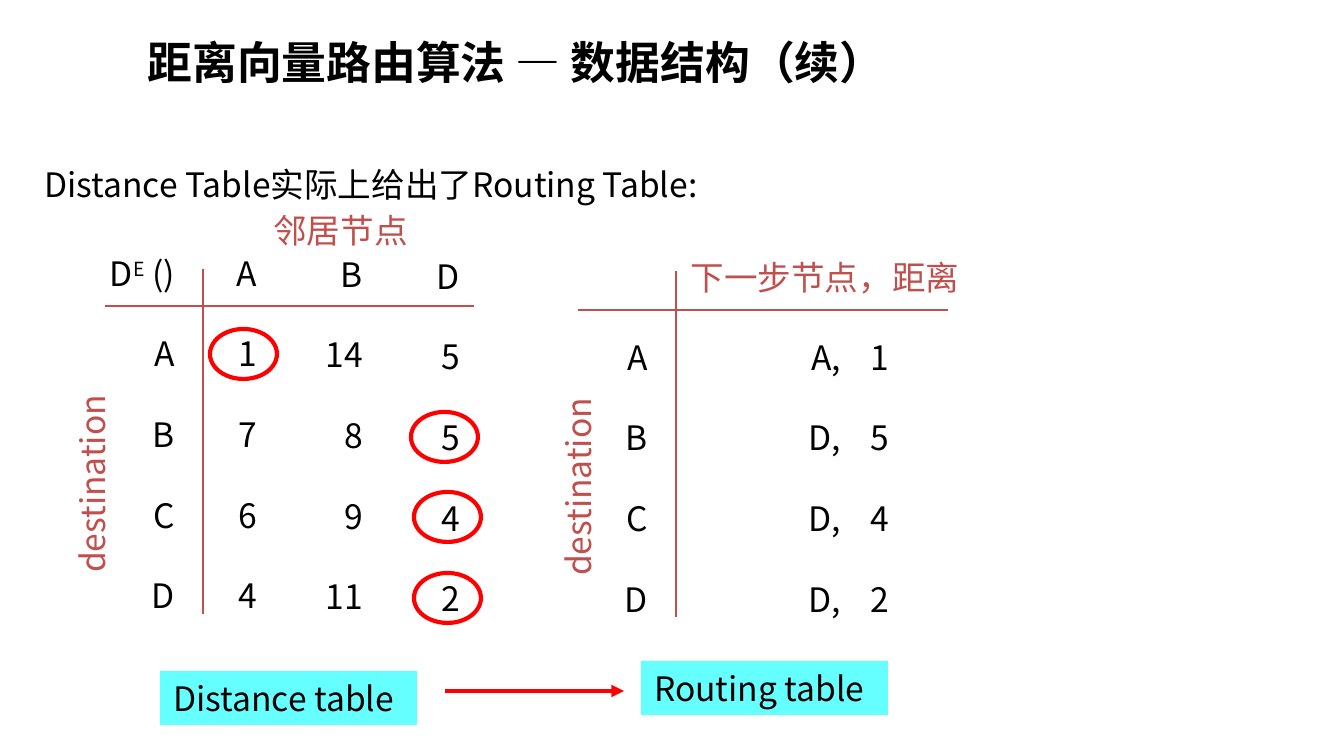
"""Build the slide showing how a distance table yields a routing table."""
from lxml import etree
from pptx import Presentation
from pptx import util as u
from pptx.dml.color import RGBColor
from pptx.enum import shapes, text
from pptx.oxml.ns import qn

FONT = "Noto Sans CJK SC"
BLACK = RGBColor(0x00, 0x00, 0x00)
BRICK = RGBColor(0xC0, 0x50, 0x4D)
RED = RGBColor(0xFF, 0x00, 0x00)
CYAN = RGBColor(0x66, 0xFF, 0xFF)
LEFT, CENTER, RIGHT = text.PP_ALIGN.LEFT, text.PP_ALIGN.CENTER, text.PP_ALIGN.RIGHT
LINE_HEIGHT = u.Pt(21.6)

TITLE = ("距离向量路由算法 — 数据结构（续）", (134, 28, 852, 67))
BODY = ("Distance Table实际上给出了Routing Table:", (31, 157, 977, 74))

# fields: right edge, top, entries
COLUMNS = [
    (188, 246, [("D", "E", " ()"), "A", "B", "C", "D"]),
    (270, 246, ["A", "1", "7", "6", "4"]),
    (376, 247, ["B", "14", "8", "9", "11"]),
    (473, 249, ["D", "5", "5", "4", "2"]),
    (661, 330, ["A", "B", "C", "D"]),
    (854, 330, ["A,", "D,", "D,", "D,"]),
    (902, 330, ["1", "5", "4", "2"]),
]
COLUMN_WIDTH, ROW_PITCH = 120, 81
RULES = [
    ((105, 306), (474, 306)),
    ((203, 269), (203, 614)),
    ((578, 310), (948, 310)),
    ((676, 271), (676, 617)),
]
CIRCLES = [(210, 329), (411, 412), (414, 492), (414, 573)]
CIRCLE_SIZE = (67, 50)
LABELS = [
    ("邻居节点", (259, 203, 163, 54), 0),
    ("下一步节点，距离", (676, 250, 298, 54), 0),
    ("destination", (-13, 457, 210, 54), 270),
    ("destination", (473, 460, 210, 54), 270),
]
CAPTIONS = [
    ("Distance table", (160, 671, 257, 54)),
    ("Routing table", (641, 661, 247, 54)),
]
ARROW = ((445, 691), (624, 691))


def px(*lengths):
    return [u.Emu(round(length * u.Inches(1) / 134.4)) for length in lengths]


def format_paragraph(paragraph, color=BLACK, size=18, bold=False, align=LEFT):
    paragraph.alignment = align
    for run in paragraph.runs:
        run.font.size = u.Pt(size)
        run.font.bold = bold
        run.font.color.rgb = color
        run.font.name = FONT
        properties = run._r.get_or_add_rPr()
        etree.SubElement(properties, qn("a:ea"), typeface=FONT)


def fill_placeholder(placeholder, content, box, anchor, **style):
    placeholder.left, placeholder.top, placeholder.width, placeholder.height = px(*box)
    frame = placeholder.text_frame
    frame.text = content
    frame.vertical_anchor = anchor
    frame.auto_size = text.MSO_AUTO_SIZE.NONE
    paragraph = frame.paragraphs[0]
    properties = paragraph._p.get_or_add_pPr()
    properties.set("marL", "0")
    properties.set("indent", "0")
    etree.SubElement(properties, qn("a:buNone"))
    paragraph.space_before = u.Pt(0)
    format_paragraph(paragraph, **style)


def add_column(slide, right, top, entries):
    box = px(right - COLUMN_WIDTH, top, COLUMN_WIDTH, ROW_PITCH * len(entries))
    frame = slide.shapes.add_textbox(*box).text_frame
    frame.word_wrap = True
    for index, entry in enumerate(entries):
        paragraph = frame.add_paragraph() if index else frame.paragraphs[0]
        paragraph.line_spacing = LINE_HEIGHT
        if index:
            paragraph.space_before = LINE_HEIGHT
        for part in entry:
            paragraph.add_run().text = part
        format_paragraph(paragraph, align=RIGHT)
    return frame


def add_label(shape, content, color, align):
    frame = shape.text_frame
    frame.text = content
    frame.word_wrap = False
    frame.vertical_anchor = text.MSO_ANCHOR.MIDDLE
    format_paragraph(frame.paragraphs[0], color, align=align)


def add_line(slide, start, end, color, width):
    line = slide.shapes.add_connector(shapes.MSO_CONNECTOR.STRAIGHT, *px(*start, *end))
    line.line.color.rgb = color
    line.line.width = u.Pt(width)
    etree.SubElement(line._element.spPr, qn("a:effectLst"))
    return line


def main():
    presentation = Presentation()
    presentation.slide_width, presentation.slide_height = px(1344, 756)
    slide = presentation.slides.add_slide(presentation.slide_layouts[1])
    title, body = slide.placeholders
    fill_placeholder(title, *TITLE, text.MSO_ANCHOR.MIDDLE, size=24, bold=True)
    fill_placeholder(body, *BODY, text.MSO_ANCHOR.TOP)

    frames = [add_column(slide, *column) for column in COLUMNS]
    superscript = frames[0].paragraphs[0].runs[1]
    superscript._r.get_or_add_rPr().set("baseline", "30000")

    for start, end in RULES:
        add_line(slide, start, end, BRICK, 1.5)

    for position in CIRCLES:
        circle = slide.shapes.add_shape(
            shapes.MSO_SHAPE.OVAL, *px(*position, *CIRCLE_SIZE))
        circle.shadow.inherit = False
        circle.fill.background()
        circle.line.color.rgb = RED
        circle.line.width = u.Pt(2.25)

    for content, box, rotation in LABELS:
        label = slide.shapes.add_textbox(*px(*box))
        label.rotation = rotation
        add_label(label, content, BRICK, CENTER)

    for content, box in CAPTIONS:
        caption = slide.shapes.add_shape(shapes.MSO_SHAPE.RECTANGLE, *px(*box))
        caption.shadow.inherit = False
        caption.fill.solid()
        caption.fill.fore_color.rgb = CYAN
        caption.line.fill.background()
        add_label(caption, content, BLACK, LEFT)

    arrow = add_line(slide, *ARROW, RED, 2.25)
    etree.SubElement(arrow.line._get_or_add_ln(), qn("a:tailEnd"), type="triangle")

    presentation.save("out.pptx")


if __name__ == "__main__":
    main()
